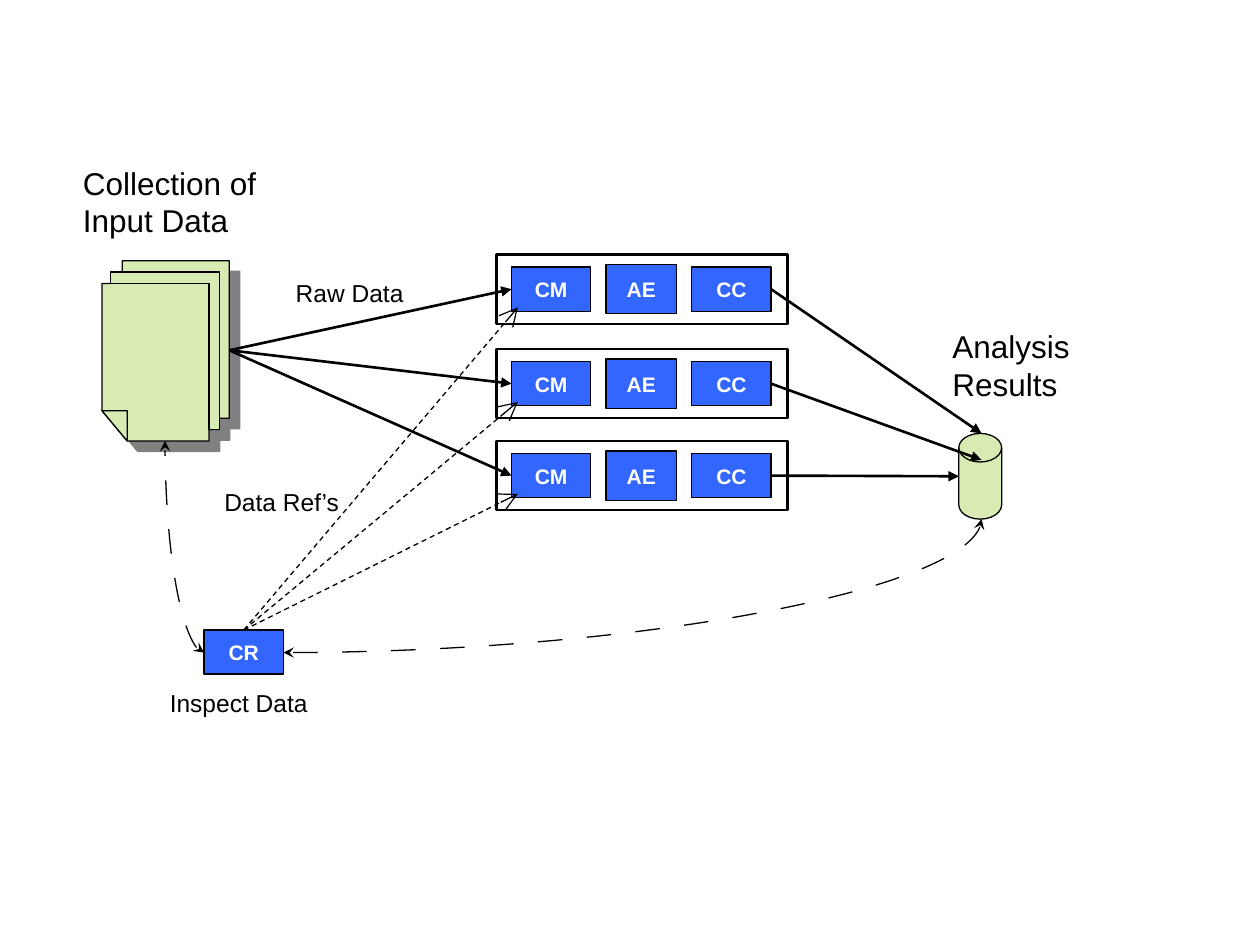
from lxml import etree
from pptx import Presentation, util as u
from pptx.dml.color import RGBColor
from pptx.enum import dml, shapes, text
from pptx.oxml.ns import qn

BLACK, WHITE, BLUE, GREEN, GRAY = "000000", "FFFFFF", "3366FF", "D8EBB3", "808080"


def color(value):
    return RGBColor.from_string(value)


def style(shape, fill=None, width=0.75):
    shape.shadow.inherit = False
    if fill:
        shape.fill.solid()
        shape.fill.fore_color.rgb = color(fill)
    else:
        shape.fill.background()
    shape.line.color.rgb = color(BLACK)
    shape.line.width = u.Pt(width)


def write(shape, lines, size, value, bold=False, align=text.PP_ALIGN.CENTER):
    frame = shape.text_frame
    frame.word_wrap = False
    for index, line in enumerate(lines):
        paragraph = frame.add_paragraph() if index else frame.paragraphs[0]
        paragraph.text = line
        paragraph.alignment = align
        paragraph.font.name = "Arial"
        paragraph.font.size = u.Pt(size)
        paragraph.font.bold = bold
        paragraph.font.color.rgb = color(value)


def add_block(slide, preset, left, top, width, height, fill=None, line=0.75):
    shape = slide.shapes.add_shape(preset, *map(u.Inches, (left, top, width, height)))
    style(shape, fill, line)
    return shape


def add_component(slide, name, left, top, width=0.63, height=0.35):
    shape = add_block(slide, shapes.MSO_SHAPE.RECTANGLE, left, top, width, height, BLUE)
    shape.text_frame.vertical_anchor = text.MSO_ANCHOR.MIDDLE
    shape.text_frame.margin_left = shape.text_frame.margin_right = 0
    write(shape, [name], 12, WHITE, bold=True)
    return shape


def add_label(slide, lines, left, top, width, height, size, align):
    box = slide.shapes.add_textbox(*map(u.Inches, (left, top, width, height)))
    write(box, lines, size, BLACK, align=align)
    box.text_frame.auto_size = text.MSO_AUTO_SIZE.SHAPE_TO_FIT_TEXT


def add_outline(slide, points):
    points = [(u.Inches(x), u.Inches(y)) for x, y in points]
    builder = slide.shapes.build_freeform(*points[0], scale=1.0)
    builder.add_line_segments(points[1:], close=True)
    shape = builder.convert_to_shape()
    style(shape, GREEN)
    return shape


def add_shadow(shape):
    effects = shape._element.spPr.find(qn("a:effectLst"))
    shadow = etree.SubElement(effects, qn("a:outerShdw"), dist=str(u.Pt(8.5)),
                              dir="2700000", algn="ctr", rotWithShape="0")
    etree.SubElement(shadow, qn("a:srgbClr"), val=GRAY)


def add_line(slide, start, end, width, tail, kind=shapes.MSO_CONNECTOR.STRAIGHT,
             dash=None, tail_size="med"):
    connector = slide.shapes.add_connector(kind, *map(u.Inches, (*start, *end)))
    connector.line.color.rgb = color(BLACK)
    connector.line.width = u.Pt(width)
    if dash:
        connector.line.dash_style = dash
    line = connector.line._get_or_add_ln()
    etree.SubElement(line, qn("a:tailEnd"), type=tail, w=tail_size, len=tail_size)
    etree.SubElement(connector._element.spPr, qn("a:effectLst"))
    return connector


def add_inspection_curve(slide, start, end):
    connector = add_line(slide, start, end, 0.75, "stealth", shapes.MSO_CONNECTOR.CURVE)
    connector._element.spPr.find(qn("a:prstGeom")).set("prst", "curvedConnector2")
    tail = connector.line._get_or_add_ln().find(qn("a:tailEnd"))
    dashes = etree.Element(qn("a:custDash"))
    etree.SubElement(dashes, qn("a:ds"), d="1900000", sp="1900000")
    head = etree.Element(qn("a:headEnd"), type="stealth")
    tail.addprevious(dashes)
    tail.addprevious(head)


def add_documents(slide):
    stack = add_outline(slide, [
        (0.81, 3.26), (0.81, 2.25), (0.88, 2.25), (0.88, 2.16), (0.97, 2.16),
        (0.97, 2.07), (1.82, 2.07), (1.82, 3.32), (1.74, 3.32), (1.74, 3.41),
        (1.66, 3.41), (1.66, 3.5), (1.01, 3.5)])
    add_shadow(stack)
    add_outline(slide, [(0.88, 2.16), (1.74, 2.16), (1.74, 3.41),
                        (1.66, 3.41), (1.66, 2.25), (0.88, 2.25)])
    add_outline(slide, [(0.81, 3.26), (1.01, 3.26), (1.01, 3.5)])


def add_pipeline(slide, top, reader, result):
    add_block(slide, shapes.MSO_SHAPE.RECTANGLE, 3.94, top, 2.31, 0.55, line=1.25)
    add_component(slide, "AE", 4.81, top + 0.08, 0.56, 0.39)
    consumer = add_component(slide, "CC", 5.49, top + 0.1)
    initializer = add_component(slide, "CM", 4.06, top + 0.1)
    middle = top + 0.28
    raw_data = add_line(slide, (1.82, 2.78), (4.06, middle), 1.5, "triangle")
    raw_data.end_connect(initializer, 1)
    output = add_line(slide, (6.12, middle), result, 1.5, "triangle")
    output.begin_connect(consumer, 3)
    reference = add_line(slide, (1.94, 5), (4.11, top + 0.42), 0.75, "arrow",
                         dash=dml.MSO_LINE.DASH, tail_size="lg")
    reference.begin_connect(reader, 0)


def main():
    presentation = Presentation()
    presentation.slide_width, presentation.slide_height = u.Inches(10), u.Inches(7.5)
    slide = presentation.slides.add_slide(presentation.slide_layouts[6])

    add_documents(slide)
    add_block(slide, shapes.MSO_SHAPE.FLOWCHART_MAGNETIC_DISK, 7.61, 3.44, 0.34, 0.68, GREEN)
    reader = add_component(slide, "CR", 1.62, 5)
    for top, result in ((2.02, (7.79, 3.44)), (2.77, (7.79, 3.65)), (3.5, (7.61, 3.78))):
        add_pipeline(slide, top, reader, result)
    add_inspection_curve(slide, (1.62, 5.18), (1.31, 3.5))
    add_inspection_curve(slide, (2.25, 5.18), (7.79, 4.12))

    left, center = text.PP_ALIGN.LEFT, text.PP_ALIGN.CENTER
    add_label(slide, ["Collection of", "Input Data"], 0.56, 1.25, 1.6, 0.7, 18, left)
    add_label(slide, ["Analysis", "Results"], 7.46, 2.55, 1.2, 0.7, 18, left)
    add_label(slide, ["Raw Data"], 2.23, 2.16, 1.09, 0.34, 14, center)
    add_label(slide, ["Data Ref’s"], 1.66, 3.82, 1.15, 0.34, 14, center)
    add_label(slide, ["Inspect Data"], 1.23, 5.41, 1.33, 0.34, 14, center)

    presentation.save("out.pptx")


if __name__ == "__main__":
    main()
